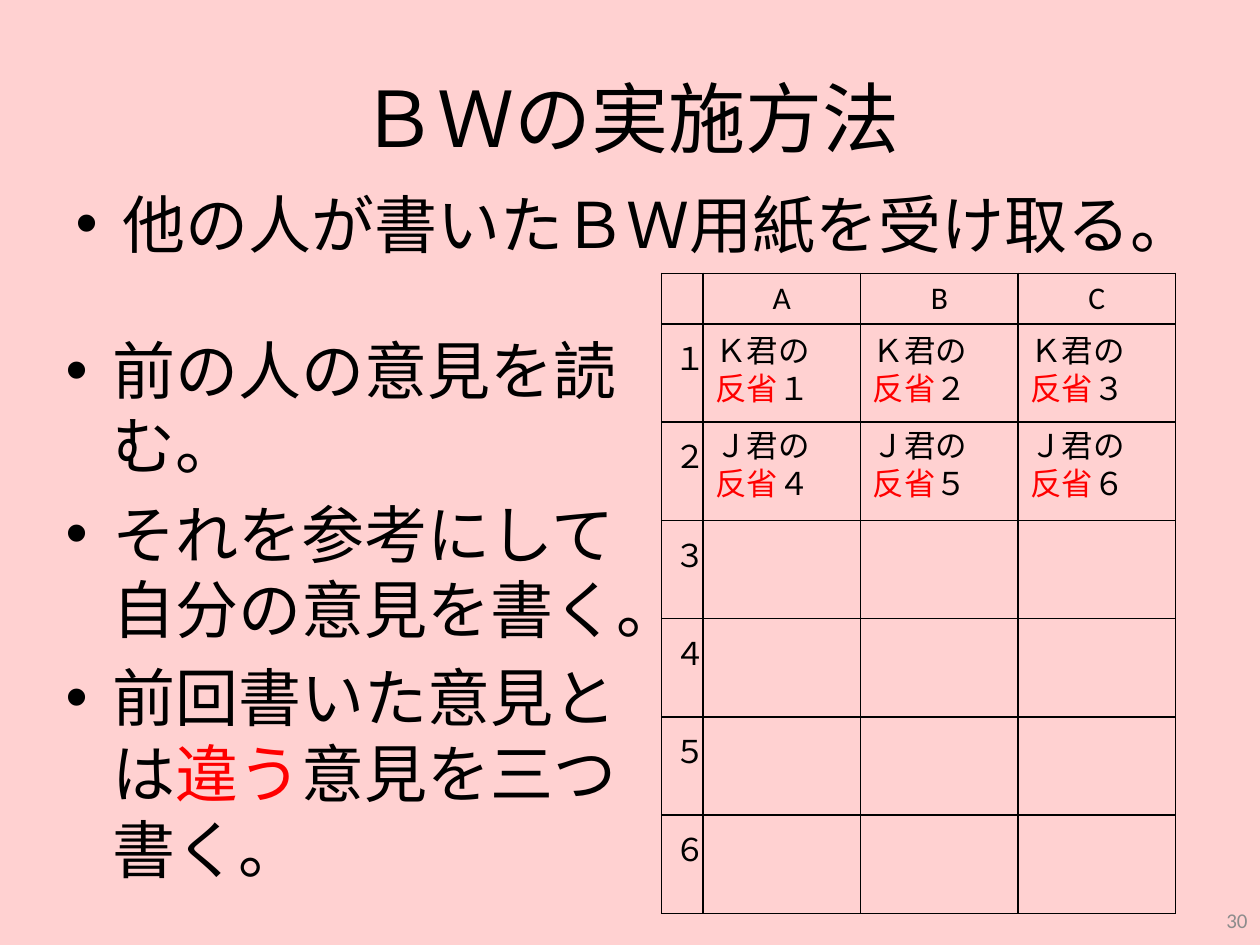
from dataclasses import dataclass
from itertools import product
from lxml.etree import SubElement
from pptx import Presentation
from pptx.dml.color import RGBColor
from pptx.enum.text import MSO_ANCHOR, MSO_AUTO_SIZE, PP_ALIGN
from pptx.oxml.ns import qn
from pptx.util import Inches, Pt


@dataclass
class Theme:
    """Colours, font and type sizes of the slide."""
    back: str = "FFD1D1"
    ink: str = "000000"
    red: str = "FF0000"
    gray: str = "8C8C8C"
    font: str = "Calibri"
    title: int = 44
    body: int = 36
    cell: int = 18
    page: int = 12


theme = Theme()


def write(frame, lines, size, align=None, ink=theme.ink):
    """Fill a text frame; parts between bars turn red."""
    frame.word_wrap = True
    for i, line in enumerate(lines):
        para = frame.add_paragraph() if i else frame.paragraphs[0]
        para.alignment = align
        for j, part in enumerate(line.split("|")):
            if not part:
                continue
            run = para.add_run()
            run.text = part
            run.font.name = theme.font
            run.font.size = Pt(size)
            run.font.color.rgb = RGBColor.from_string(theme.red if j % 2 else ink)


def border(cell):
    """Draw a thin line on all four sides of a cell."""
    props = cell._tc.get_or_add_tcPr()
    for side in ("lnL", "lnR", "lnT", "lnB"):
        line = SubElement(props, qn("a:" + side), w=str(Pt(1)))
        fill = SubElement(line, qn("a:solidFill"))
        SubElement(fill, qn("a:srgbClr"), val=theme.ink)


deck = Presentation()
deck.slide_width, deck.slide_height = Inches(10), Inches(7.5)
slide = deck.slides.add_slide(deck.slide_layouts[3])
slide.background.fill.solid()
slide.background.fill.fore_color.rgb = RGBColor.from_string(theme.back)

# Title and lists
steps = ["前の人の意見を読む。", "それを参考にして自分の意見を書く。",
         "前回書いた意見とは|違う|意見を三つ書く。"]
blocks = [
    (0, (0.5, 0.3, 9, 1.25), ["ＢＷの実施方法"], theme.title, PP_ALIGN.CENTER),
    (1, (0.5, 1.42, 9, 0.75), ["他の人が書いたＢＷ用紙を受け取る。"], theme.body, None),
    (2, (0.42, 2.58, 4.67, 4.58), steps, theme.body, None),
]
for idx, box, lines, size, align in blocks:
    shape = slide.placeholders[idx]
    shape.left, shape.top, shape.width, shape.height = map(Inches, box)
    write(shape.text_frame, lines, size, align)
    shape.text_frame.auto_size = MSO_AUTO_SIZE.NONE

# Page number
page = slide.shapes.add_textbox(*map(Inches, (7.67, 7.1, 2.33, 0.4)))
page.text_frame.vertical_anchor = MSO_ANCHOR.MIDDLE
write(page.text_frame, ["30"], theme.page, PP_ALIGN.RIGHT, theme.gray)

# Worksheet grid
left, top, wide, high = 5.25, 2.17, 1.25, 0.78
heads = ["", "A", "B", "C"]
marks = "１２３４５６"
grid = slide.shapes.add_table(
    len(marks) + 1, len(heads), *map(Inches, (left, top, 4.08, 5.1))).table
grid.first_row = grid.horz_banding = False
for i, col in enumerate(grid.columns):
    col.width = Inches(wide if i else 0.33)
for i, row in enumerate(grid.rows):
    row.height = Inches(high if i else 0.4)
for r, c in product(range(len(marks) + 1), range(len(heads))):
    cell = grid.cell(r, c)
    border(cell)
    cell.fill.background()
    text = heads[c] if r == 0 else marks[r - 1] if c == 0 else ""
    write(cell.text_frame, [text], theme.cell, PP_ALIGN.CENTER)
    if r:
        cell.margin_top = Inches(0.08)

# Notes lying on the first two rows
for (r, name), c in product(enumerate("ＫＪ"), range(3)):
    note = slide.shapes.add_textbox(
        Inches(left + 0.33 + c * wide), Inches(2.58 + r * 0.75), Inches(1.17), Inches(0.71))
    write(note.text_frame, [name + "君の", "|反省|" + marks[r * 3 + c]], theme.cell)

deck.save("out.pptx")
